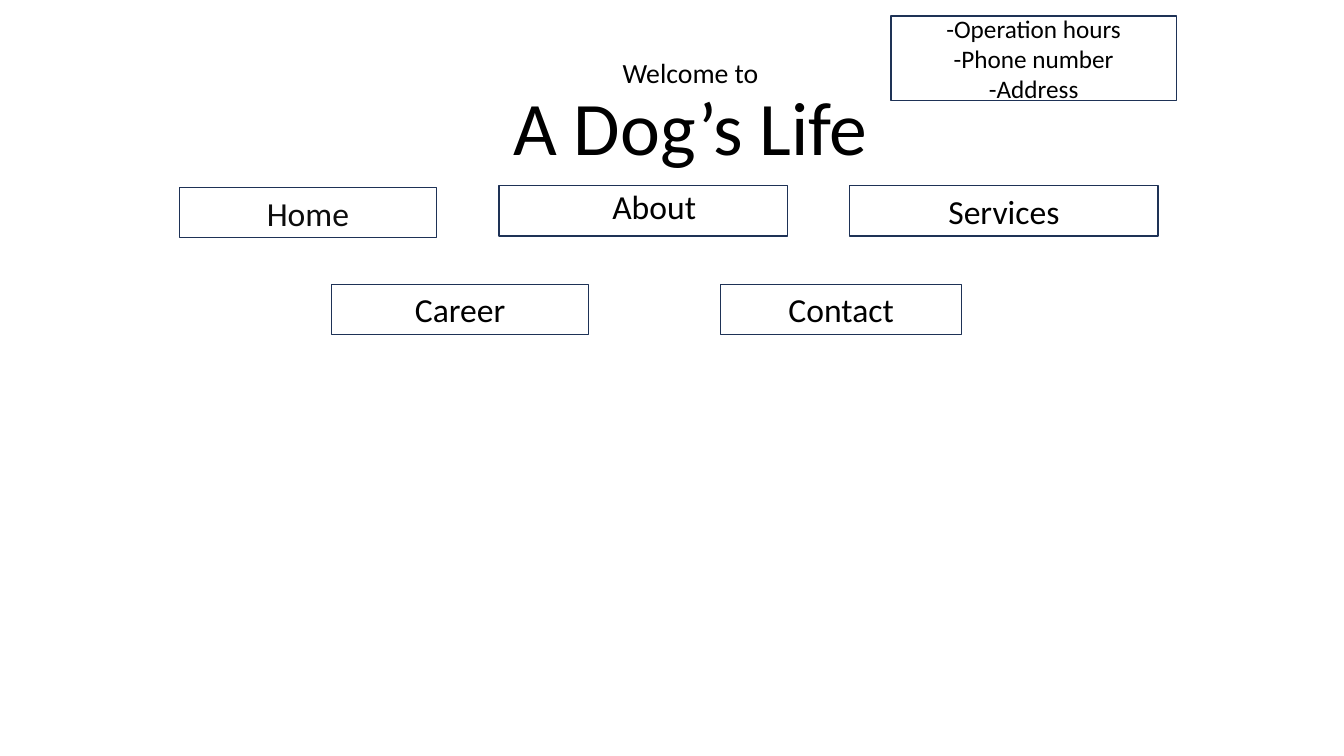
import pptx
import pptx.util
import pptx.dml.color
import pptx.enum.shapes
import pptx.enum.text

COLORS = {"text": "000000", "home": "0D0D0D", "line": "1E3256", "fill": "FFFFFF"}
COLUMNS, ROWS = 40, 15


class Page:
    font = "Calibri"

    def __init__(self, prs):
        self.col = prs.slide_width / COLUMNS
        self.row = prs.slide_height / ROWS
        self.s = prs.slides.add_slide(prs.slide_layouts[5])

    def color(self, name):
        return pptx.dml.color.RGBColor.from_string(COLORS[name])

    def place(self, x, y, w, h):
        return [round(n) for n in (x * self.col, y * self.row, w * self.col, h * self.row)]

    def set_text(self, sp, lines, sizes, anchor, color="text", spacing=None):
        tf = sp.text_frame
        tf.text = "\n".join(lines)
        tf.word_wrap = True
        tf.auto_size = pptx.enum.text.MSO_AUTO_SIZE.NONE
        tf.vertical_anchor = anchor
        for p, size in zip(tf.paragraphs, sizes):
            p.alignment = pptx.enum.text.PP_ALIGN.CENTER
            p.line_spacing = spacing
            for r in p.runs:
                r.font.name = self.font
                r.font.size = pptx.util.Pt(size)
                r.font.color.rgb = self.color(color)

    def title(self, box, lines, sizes):
        sp = self.s.shapes.title
        sp.left, sp.top, sp.width, sp.height = self.place(*box)
        self.set_text(sp, lines, sizes, pptx.enum.text.MSO_ANCHOR.BOTTOM, spacing=0.9)

    def label(self, box, text, size):
        sp = self.s.shapes.add_textbox(*self.place(*box))
        self.set_text(sp, [text], [size], pptx.enum.text.MSO_ANCHOR.TOP, spacing=0.9)

    def box(self, box, lines=(), size=24, color="text"):
        sp = self.s.shapes.add_shape(pptx.enum.shapes.MSO_SHAPE.RECTANGLE, *self.place(*box))
        sp.shadow.inherit = False
        sp.line.color.rgb = self.color("line")
        sp.line.width = pptx.util.Pt(1)
        if lines:
            sp.fill.solid()
            sp.fill.fore_color.rgb = self.color("fill")
            self.set_text(sp, lines, [size] * len(lines), pptx.enum.text.MSO_ANCHOR.MIDDLE, color)
        else:
            sp.fill.background()


prs = pptx.Presentation()
prs.slide_width = pptx.util.Inches(13.33)
prs.slide_height = pptx.util.Inches(7.5)

page = Page(prs)
page.title((5.55, 0.16, 30, 3.34), ["Welcome to", "A Dog’s Life"], [19.8, 54])
page.label((4.47, 3.68, 30, 3.62), "About", 24)
page.box((26.52, 0.32, 8.49, 1.68), ["-Operation hours", "-Phone number", "-Address"], 18)
page.box((14.85, 3.68, 8.58, 1))

menu = [
    ("Home", 5.34, 3.72, 7.65, "home"),
    ("Services", 25.29, 3.68, 9.18, "text"),
    ("Career", 9.87, 5.64, 7.65, "text"),
    ("Contact", 21.45, 5.64, 7.17, "text"),
]
for name, x, y, w, color in menu:
    page.box((x, y, w, 1), [name], color=color)

prs.save("out.pptx")
